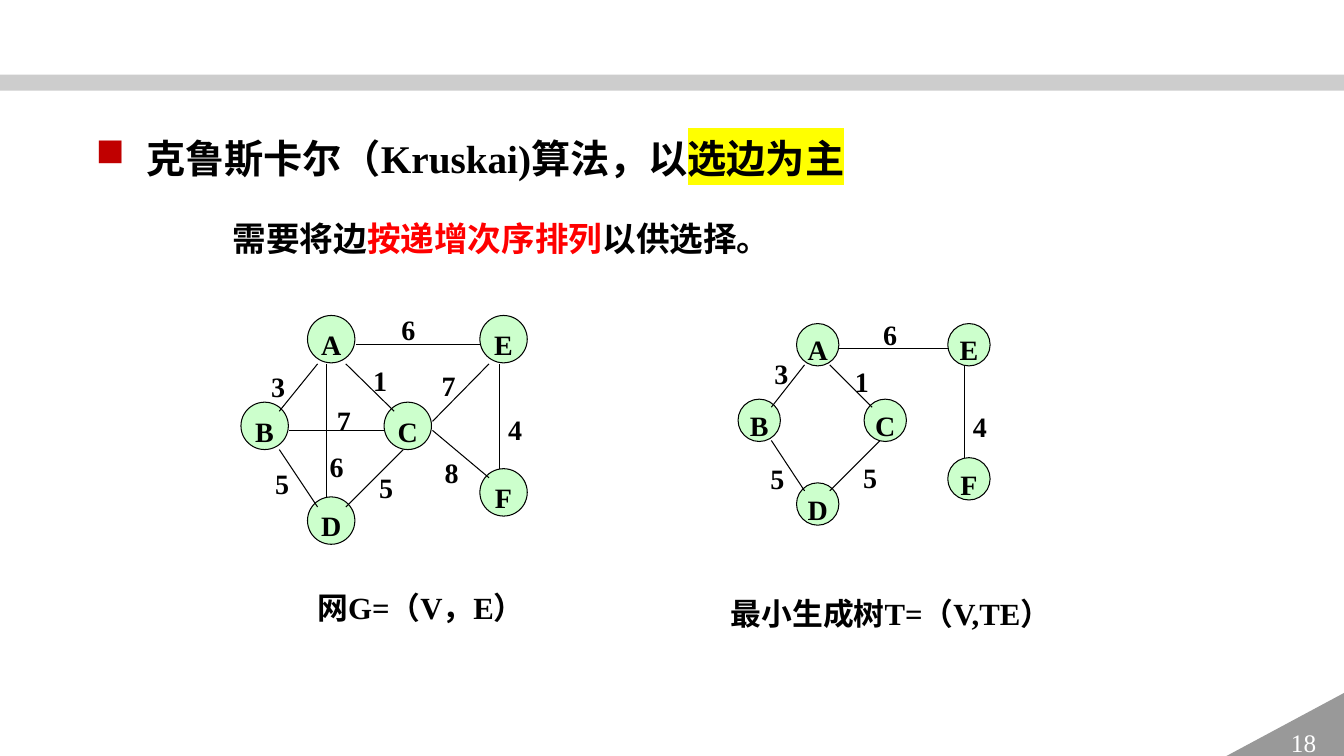
from lxml import etree
from pptx import Presentation, util as u
from pptx.dml.color import RGBColor
from pptx.enum import shapes as s, text as t
from pptx.oxml import ns

EMU_PER_PX = 9144  # 100 px to the inch
FONT = "Times New Roman"
BLACK = RGBColor(0, 0, 0)
WHITE = RGBColor(255, 255, 255)
RED = RGBColor(255, 0, 0)
YELLOW = RGBColor(255, 255, 0)
BULLET_RED = RGBColor(0xC0, 0, 0)
NODE_GREEN = RGBColor(0xCC, 0xFF, 0xCC)
BAND_GRAY = RGBColor(0xA6, 0xA6, 0xA6)
CORNER_GRAY = RGBColor(0x99, 0x99, 0x99)

# Nodes: letter, left, top. Edges: x1, y1, x2, y2. Weights: digit, left, top.
NETWORK = dict(
    diameter=47,
    nodes=[("C", 381, 399), ("A", 305, 313), ("D", 305, 493),
           ("E", 476, 313), ("B", 239, 399), ("F", 476, 465)],
    edges=[(315, 361, 277, 408), (277, 446, 315, 503), (287, 427, 381, 427),
           (324, 361, 324, 493), (343, 361, 391, 408), (400, 446, 343, 503),
           (485, 361, 429, 418), (429, 427, 485, 474), (495, 361, 495, 465),
           (353, 342, 476, 342)],
    weights=[("3", 269, 357), ("7", 334, 390), ("1", 370, 351), ("8", 441, 442),
             ("7", 438, 356), ("4", 504, 399), ("5", 376, 457), ("5", 273, 453),
             ("6", 327, 436), ("6", 398, 300)],
    caption=("网G=（V，E）", 305, 568, 228),
)
SPANNING_TREE = dict(
    diameter=42,
    nodes=[("C", 857, 396), ("A", 790, 321), ("D", 790, 479),
           ("E", 940, 321), ("B", 732, 396), ("F", 940, 454)],
    edges=[(798, 362, 765, 404), (765, 437, 798, 487), (823, 362, 865, 404),
           (873, 437, 823, 487), (957, 362, 957, 454), (832, 346, 940, 346)],
    weights=[("3", 768, 344), ("1", 848, 352), ("4", 965, 396), ("5", 856, 447),
             ("5", 764, 448), ("6", 876, 305)],
    caption=("最小生成树T=（V,TE）", 715, 574, 341),
)


def px(*lengths):
    return [u.Emu(length * EMU_PER_PX) for length in lengths]


def add_xml(parent, tag, **attributes):
    return etree.SubElement(parent, ns.qn(tag), attributes)


def write(paragraph, content, size=20, color=BLACK, bold=True, highlight=None):
    run = paragraph.add_run()
    run.text = content
    run.font.size = u.Pt(size)
    run.font.bold = bold
    run.font.color.rgb = color
    run.font.name = FONT
    if highlight is not None:
        mark = etree.Element(ns.qn("a:highlight"))
        add_xml(mark, "a:srgbClr", val=str(highlight))
        run.font._element.find(ns.qn("a:latin")).addprevious(mark)


def add_text(parts, left, top, width, height, margin=None):
    """Add a wrapping text box and return its first paragraph."""
    frame = parts.add_textbox(*px(left, top, width, height)).text_frame
    frame.word_wrap = True
    frame.auto_size = t.MSO_AUTO_SIZE.SHAPE_TO_FIT_TEXT
    if margin is not None:
        frame.margin_left = frame.margin_right = margin
        frame.margin_top = frame.margin_bottom = margin
    paragraph = frame.paragraphs[0]
    paragraph.line_spacing = 1.3
    return paragraph


def add_filled(parts, kind, box, fill, line=None):
    shape = parts.add_shape(kind, *px(*box))
    shape.shadow.inherit = False
    shape.fill.solid()
    shape.fill.fore_color.rgb = fill
    if line is None:
        shape.line.fill.background()
    else:
        shape.line.color.rgb = line
        shape.line.width = u.Pt(0.75)
    return shape


def center_text(shape):
    shape.text_frame.vertical_anchor = t.MSO_ANCHOR.MIDDLE
    paragraph = shape.text_frame.paragraphs[0]
    paragraph.alignment = t.PP_ALIGN.CENTER
    return paragraph


def add_node(parts, letter, left, top, diameter):
    node = add_filled(parts, s.MSO_SHAPE.OVAL, (left, top, diameter, diameter),
                      NODE_GREEN, BLACK)
    node.text_frame.word_wrap = False
    paragraph = center_text(node)
    paragraph.line_spacing = 1.3
    write(paragraph, letter)


def add_edge(parts, *ends):
    edge = parts.add_connector(s.MSO_CONNECTOR.STRAIGHT, *px(*ends))
    edge.line.color.rgb = BLACK
    edge.line.width = u.Pt(0.75)
    add_xml(edge._element.spPr, "a:effectLst")


def add_graph(parts, diameter, nodes, edges, weights, caption):
    for letter, left, top in nodes:
        add_node(parts, letter, left, top, diameter)
    for ends in edges:
        add_edge(parts, *ends)
    for digit, left, top in weights:
        write(add_text(parts, left, top, 19, 39, margin=0), digit)
    label, left, top, width = caption
    write(add_text(parts, left, top, width, 58), label, size=22)


def add_band(parts):
    band = add_filled(parts, s.MSO_SHAPE.RECTANGLE, (0, 74, 1333, 16), BAND_GRAY)
    color = band._element.spPr.find(".//" + ns.qn("a:srgbClr"))
    add_xml(color, "a:alpha", val="56000")


def add_page_corner(parts):
    corner = add_filled(parts, s.MSO_SHAPE.RIGHT_TRIANGLE, (1211, 687, 123, 66),
                        CORNER_GRAY)
    corner._element.spPr.find(ns.qn("a:xfrm")).set("flipH", "1")
    write(center_text(corner), "18", size=18, color=WHITE, bold=False)


def add_heading(parts):
    heading = add_text(parts, 85, 114, 971, 89)
    properties = heading._p.get_or_add_pPr()
    indent, = px(50)
    properties.set("marL", str(indent))
    properties.set("indent", str(-indent))
    bullet_color = add_xml(properties, "a:buClr")
    add_xml(bullet_color, "a:srgbClr", val=str(BULLET_RED))
    add_xml(properties, "a:buChar", char="■")
    write(heading, "克鲁斯卡尔（Kruskai)算法，以", size=28)
    write(heading, "选边为主", size=28, highlight=YELLOW)


def add_explanation(parts):
    explanation = add_text(parts, 221, 199, 780, 63)
    write(explanation, "需要将边", size=24)
    write(explanation, "按递增次序排列", size=24, color=RED)
    write(explanation, "以供选择。", size=24)


def main():
    deck = Presentation()
    deck.slide_width, deck.slide_height = px(1333, 750)
    parts = deck.slides.add_slide(deck.slide_layouts[6]).shapes
    add_band(parts)
    add_page_corner(parts)
    add_graph(parts, **SPANNING_TREE)
    add_graph(parts.add_group_shape().shapes, **NETWORK)
    add_explanation(parts)
    add_heading(parts)
    deck.save("out.pptx")


if __name__ == "__main__":
    main()
